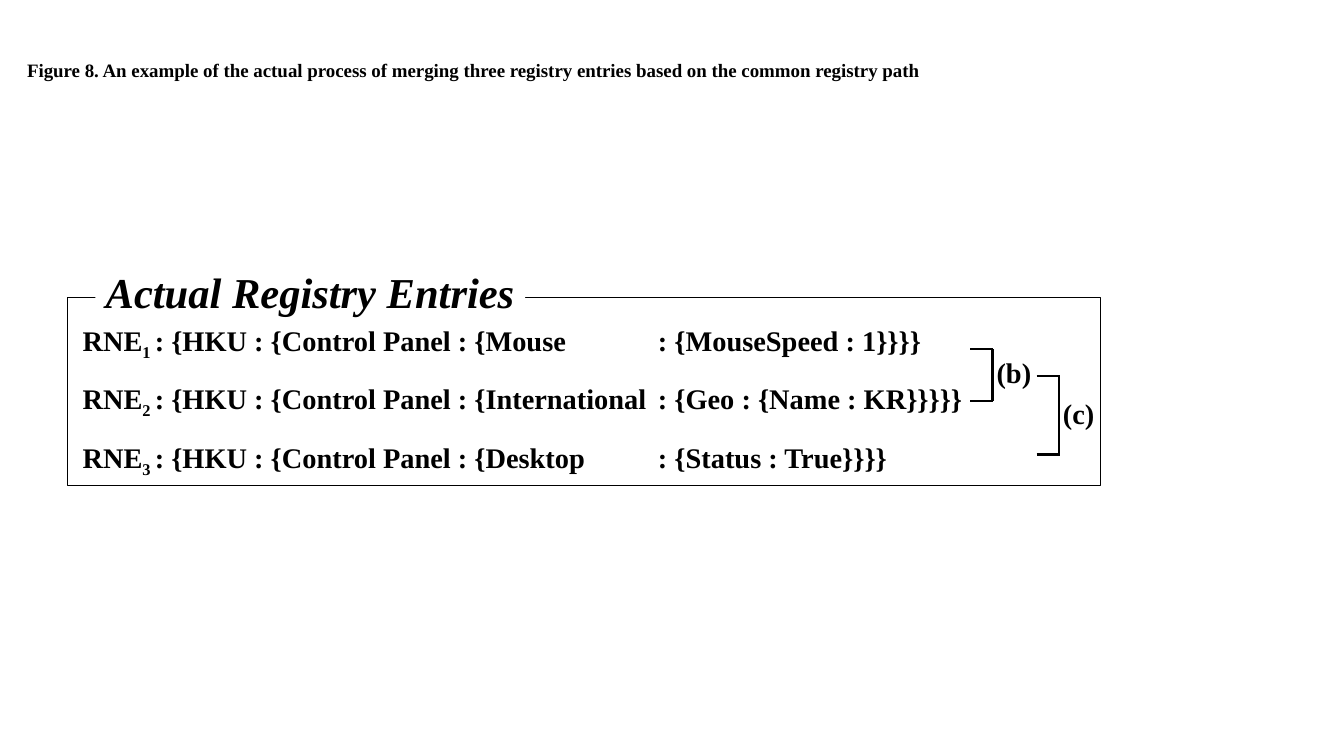
import pptx
import pptx.dml.color
import pptx.enum.shapes
import pptx.enum.text
import pptx.oxml
import pptx.oxml.ns
import pptx.util
from lxml import etree

Inches = pptx.util.Inches
Pt = pptx.util.Pt
Align = pptx.enum.text.PP_ALIGN
Anchor = pptx.enum.text.MSO_ANCHOR
qn = pptx.oxml.ns.qn


def color(code):
    return pptx.dml.color.RGBColor.from_string(code)


class Figure:
    face = "Times New Roman"
    ink = "000000"
    paper = "FFFFFF"

    def __init__(self, slide):
        self.slide = slide

    def style(self, para, size, italic=False):
        font = para.font
        font.name, font.size = self.face, Pt(size)
        font.bold, font.italic = True, italic
        font.color.rgb = color(self.ink)

    def rect(self, x, y, w, h, fill=None, line=None):
        kind = pptx.enum.shapes.MSO_SHAPE.RECTANGLE
        box = self.slide.shapes.add_shape(
            kind, Inches(x), Inches(y), Inches(w), Inches(h))
        box.shadow.inherit = False
        if fill:
            box.fill.solid()
            box.fill.fore_color.rgb = color(fill)
        else:
            box.fill.background()
        if line:
            box.line.color.rgb = color(self.ink)
            box.line.width = Pt(line)
        else:
            box.line.fill.background()
        return box

    def entries(self, x, y, w, h, rows, tab):
        frame = self.rect(x, y, w, h, line=1).text_frame
        frame.word_wrap = True
        frame.vertical_anchor = Anchor.MIDDLE
        frame.margin_left = Inches(0.18)
        for num, (key, value) in enumerate(rows, 1):
            para = frame.paragraphs[0] if num == 1 else frame.add_paragraph()
            para.alignment = Align.LEFT
            para.line_spacing = 1.5
            # Tab stop that lines up the last colons
            stops = etree.SubElement(para._p.get_or_add_pPr(), qn("a:tabLst"))
            etree.SubElement(stops, qn("a:tab"), pos=str(Inches(tab)), algn="l")
            self.style(para, 24)
            para.add_run().text = "RNE"
            sub = para.add_run()
            sub.text = f"{num} "
            sub._r.get_or_add_rPr().set("baseline", "-25000")
            para.add_run().text = f": {{HKU : {{Control Panel : {{{key}\t: {value}"

    def title(self, x, y, w, h, text):
        frame = self.rect(x, y, w, h, fill=self.paper).text_frame
        frame.word_wrap = False
        frame.vertical_anchor = Anchor.TOP
        para = frame.paragraphs[0]
        para.text = text
        para.alignment = Align.CENTER
        self.style(para, 36, italic=True)

    def text(self, x, y, w, h, text, size, wrap=False):
        frame = self.slide.shapes.add_textbox(
            Inches(x), Inches(y), Inches(w), Inches(h)).text_frame
        frame.word_wrap = wrap
        para = frame.paragraphs[0]
        para.text = text
        self.style(para, size)

    def line(self, x1, y1, x2, y2):
        kind = pptx.enum.shapes.MSO_CONNECTOR.STRAIGHT
        link = self.slide.shapes.add_connector(
            kind, Inches(x1), Inches(y1), Inches(x2), Inches(y2))
        link.line.color.rgb = color(self.ink)
        link.line.width = Pt(2)
        etree.SubElement(link._element.spPr, qn("a:effectLst"))

    def bracket(self, left, right, top, base):
        for y in (top, base):
            self.line(left, y, right, y)
        self.line(right - 0.01, top, right - 0.01, base)


def main():
    deck = pptx.Presentation()
    deck.slide_width, deck.slide_height = Inches(15.79), Inches(8.88)
    fig = Figure(deck.slides.add_slide(deck.slide_layouts[6]))

    # Framed registry entries
    rows = [
        ("Mouse", "{MouseSpeed : 1}}}}"),
        ("International", "{Geo : {Name : KR}}}}}"),
        ("Desktop", "{Status : True}}}}"),
    ]
    fig.entries(0.79, 3.49, 12.14, 2.21, rows, tab=6.76)
    fig.title(1.12, 3.07, 5.05, 0.71, "Actual Registry Entries")

    # Merge brackets and their labels
    fig.bracket(11.4, 11.67, 4.1, 4.71)
    fig.bracket(12.18, 12.45, 4.42, 5.34)
    fig.text(11.61, 4.12, 0.61, 0.5, "(b)", 24)
    fig.text(12.39, 4.6, 0.58, 0.5, "(c)", 24)

    # Caption
    fig.text(0.22, 0.64, 11.4, 0.37,
             "Figure 8. An example of the actual process of merging three "
             "registry entries based on the common registry path", 16, wrap=True)

    deck.save("out.pptx")


if __name__ == "__main__":
    main()
